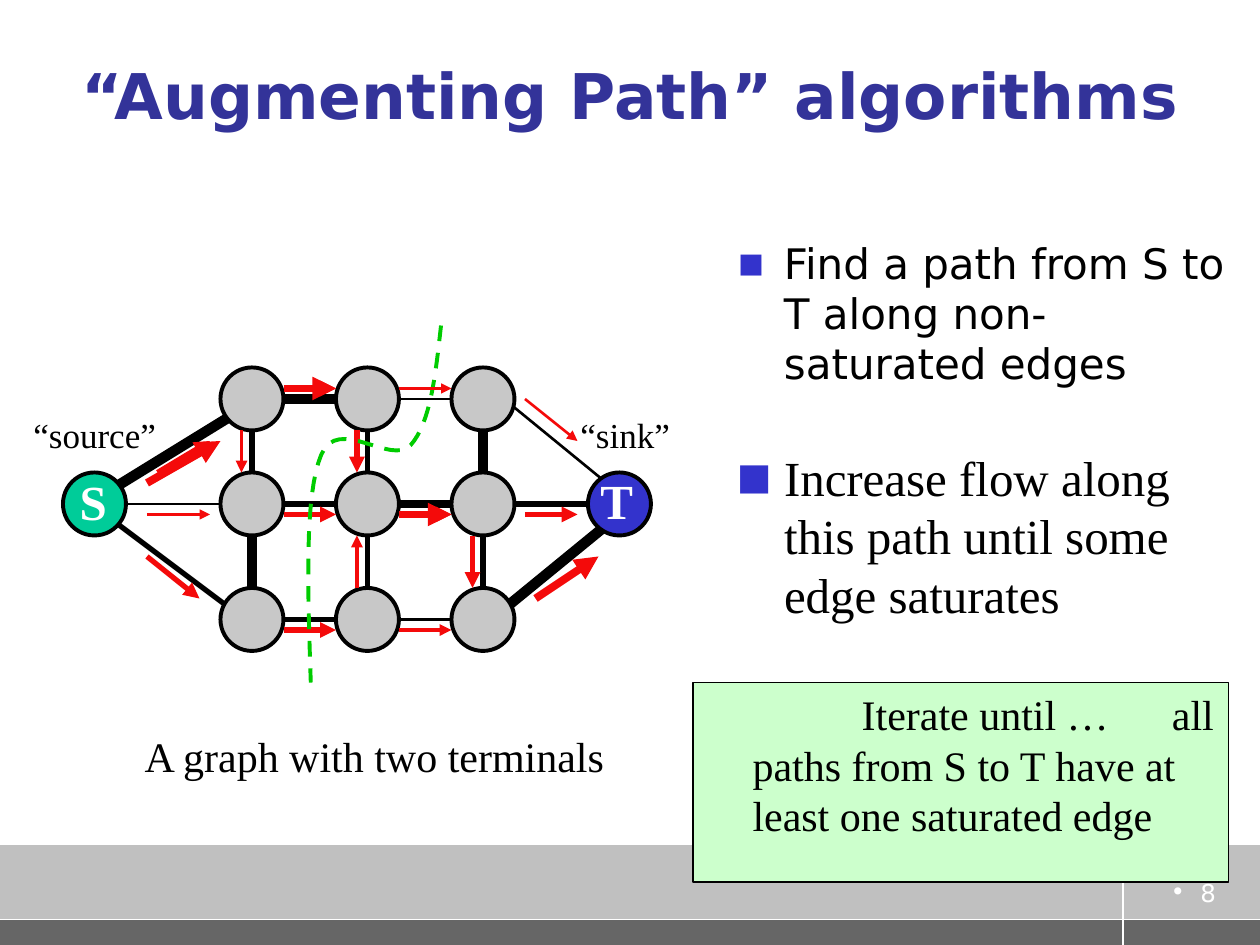
from dataclasses import dataclass

from lxml import etree
from pptx import Presentation
from pptx.dml.color import RGBColor
from pptx.enum.dml import MSO_LINE
from pptx.enum.shapes import MSO_CONNECTOR, MSO_SHAPE
from pptx.enum.text import MSO_ANCHOR, MSO_AUTO_SIZE, PP_ALIGN
from pptx.oxml.ns import qn
from pptx.util import Cm, Pt

STRAIGHT = MSO_CONNECTOR.STRAIGHT
OVAL, RECT = MSO_SHAPE.OVAL, MSO_SHAPE.RECTANGLE
LEFT, CENTER, RIGHT = PP_ALIGN.LEFT, PP_ALIGN.CENTER, PP_ALIGN.RIGHT
TOP, MIDDLE = MSO_ANCHOR.TOP, MSO_ANCHOR.MIDDLE
DASH, NO_FIT = MSO_LINE.DASH, MSO_AUTO_SIZE.NONE


@dataclass(frozen=True)
class Theme:
    sans: str = "DejaVu Sans"
    serif: str = "Times New Roman"
    black: str = "000000"
    white: str = "FFFFFF"
    title: str = "333399"
    blue: str = "3333CC"
    green: str = "00CC99"
    node: str = "C8C8C8"
    flow: str = "F40A0A"
    cut: str = "00CC00"
    note: str = "CCFFCC"
    band: str = "C0C0C0"
    footer: str = "666666"
    title_size: int = 36
    large: int = 28
    body: int = 24
    label: int = 20
    small: int = 14


T = Theme()

COLUMNS, ROWS = (24, 35, 46), (38, 48, 59)

EDGES = [
    (10, 47, 23, 39, 6), (11, 48, 23, 48, 1.5), (10, 49, 22, 58, 3),
    (48, 38, 59, 47, 1.5), (47, 48, 58, 48, 3), (48, 58, 59, 49, 6),
    (24, 38, 34, 38, 6), (35, 38, 45, 38, 1.5),
    (24, 47, 24, 39, 3), (35, 47, 35, 39, 3), (46, 47, 46, 39, 6),
    (24, 58, 24, 50, 6), (35, 58, 35, 50, 3), (46, 58, 46, 50, 3),
    (24, 48, 34, 48, 3), (35, 48, 45, 48, 4.5),
    (24, 59, 34, 59, 3), (35, 59, 45, 59, 2.25),
]
FLOWS = [
    (14, 49, 20, 49, 1.5), (14, 53, 19, 57, 3), (51, 57, 57, 53, 4.5),
    (23, 41, 23, 45, 2.25), (34, 56, 34, 51, 2.25), (45, 51, 45, 56, 3),
    (27, 49, 32, 49, 3), (38, 49, 43, 49, 4.5),
    (27, 60, 32, 60, 3), (38, 60, 43, 60, 2.25),
]
PATH_FLOWS = [
    (50, 49, 55, 49, 3), (38, 49, 43, 49, 3), (27, 37, 32, 37, 3),
    (15, 45, 20, 42, 3), (34, 41, 34, 45, 3),
]
FINAL_FLOWS = [
    (14, 46, 21, 42, 4.5), (50, 38, 55, 42, 1.5),
    (27, 37, 32, 37, 4.5), (38, 37, 43, 37, 1.5),
]
CUT_CURVE = [
    (42, 31), (41.5, 35.6), (41, 40.3), (39.1, 42.4), (37.2, 44.4),
    (32.2, 39.5), (30.6, 43.3), (29, 47), (29.3, 56), (29.6, 65),
]


def grid(n):
    return Cm(n * 2.54 / 12)


def rgb(color):
    return RGBColor.from_string(color)


def apply(target, values):
    for name, value in values.items():
        setattr(target, name, value)


def add_run(p, text, size, font, color=T.black, bold=False):
    r = p.add_run()
    r.text = text
    apply(r.font, {"size": Pt(size), "name": font, "bold": bold})
    r.font.color.rgb = rgb(color)
    return r


def format_paragraph(p, margin, indent, before=0):
    p.space_before = Pt(before)
    pPr = p._p.get_or_add_pPr()
    pPr.set("marL", str(Cm(margin)))
    pPr.set("indent", str(Cm(indent)))
    return pPr


def add_bullet(pPr, char, color, percent=100):
    clr = etree.SubElement(pPr, qn("a:buClr"))
    etree.SubElement(clr, qn("a:srgbClr"), val=color)
    etree.SubElement(pPr, qn("a:buSzPct"), val=str(percent * 1000))
    etree.SubElement(pPr, qn("a:buFont"), typeface=T.sans)
    etree.SubElement(pPr, qn("a:buChar"), char=char)


def add_text(s, box, text, size, font, color=T.black, bold=False, wrap=False, align=LEFT):
    sp = s.shapes.add_textbox(*map(grid, box))
    tf = sp.text_frame
    apply(tf, {"word_wrap": wrap, "auto_size": NO_FIT, "vertical_anchor": TOP})
    p = tf.paragraphs[0]
    p.alignment = align
    add_run(p, text, size, font, color, bold)
    return p


def add_bullet_text(s, box, text, size, font, char, percent):
    p = add_text(s, box, text, size, font, wrap=True)
    add_bullet(format_paragraph(p, 0.95, -0.95, size / 5), char, T.blue, percent)


def add_box(s, kind, box, fill, width=0):
    sp = s.shapes.add_shape(kind, *map(grid, box))
    sp.shadow.inherit = False
    sp.fill.solid()
    sp.fill.fore_color.rgb = rgb(fill)
    if width:
        sp.line.color.rgb = rgb(T.black)
        sp.line.width = Pt(width)
    else:
        sp.line.fill.background()
    return sp


def add_line(s, x1, y1, x2, y2, width, color=T.black, arrow=False):
    c = s.shapes.add_connector(STRAIGHT, *map(grid, (x1, y1, x2, y2)))
    c.line.color.rgb = rgb(color)
    c.line.width = Pt(width)
    if arrow:
        etree.SubElement(c.line._get_or_add_ln(), qn("a:tailEnd"), type="triangle")
    etree.SubElement(c._element.spPr, qn("a:effectLst"))


def add_node(s, x, y, fill=T.node):
    add_box(s, OVAL, (x - 3, y - 3, 6, 6), fill, 2.25)


def bezier(points, t):
    weights = ((1 - t) ** 3, 3 * t * (1 - t) ** 2, 3 * t * t * (1 - t), t ** 3)
    return tuple(grid(sum(w * pt[axis] for w, pt in zip(weights, points))) for axis in (0, 1))


def add_cut(s, steps=16):
    points = [bezier(CUT_CURVE[i:i + 4], k / steps)
              for i in range(0, len(CUT_CURVE) - 1, 3) for k in range(1, steps + 1)]
    fb = s.shapes.build_freeform(*map(grid, CUT_CURVE[0]))
    fb.add_line_segments(points, close=False)
    sp = fb.convert_to_shape()
    sp.shadow.inherit = False
    sp.fill.background()
    sp.line.color.rgb = rgb(T.cut)
    apply(sp.line, {"width": Pt(2.25), "dash_style": DASH})


def add_footer(s):
    add_box(s, RECT, (0, 80.5, 120, 9.5), T.band)
    add_box(s, RECT, (0, 87.6, 120, 2.4), T.footer)
    add_line(s, 107, 80, 107, 90, 1.13, T.white)
    add_line(s, 0, 87.6, 120, 87.6, 0.75, T.white)
    p = add_text(s, (108, 83, 9, 4), "8", T.small, T.sans, T.white, wrap=True, align=RIGHT)
    add_bullet(format_paragraph(p, 0.6, -0.6), "•", T.white)


def add_title(s):
    sp = s.shapes.title
    apply(sp, dict(zip(("left", "top", "width", "height"), map(grid, (6, 3, 108, 12)))))
    tf = sp.text_frame
    apply(tf, {"word_wrap": True, "auto_size": NO_FIT, "vertical_anchor": MIDDLE})
    p = tf.paragraphs[0]
    p.alignment = CENTER
    add_run(p, "“Augmenting Path” algorithms", T.title_size, T.sans, T.title, True)


def add_graph(s):
    for edge in EDGES:
        add_line(s, *edge)
    for y in ROWS:
        for x in COLUMNS:
            add_node(s, x, y)
    add_node(s, 9, 48, T.green)
    add_node(s, 59, 48, T.blue)
    add_text(s, (6.4, 44.3, 5, 6.8), "S", T.large, T.serif, T.white, True)
    add_text(s, (56, 44.2, 5.5, 6.8), "T", T.large, T.serif, T.white, True)
    add_text(s, (2, 38.8, 14, 5.2), "“source”", T.label, T.serif)
    add_text(s, (54.1, 38.8, 10.9, 5.2), "“sink”", T.label, T.serif)
    add_text(s, (12.6, 69, 46.3, 6), "A graph with two terminals", T.body, T.serif)


def add_flows(s, flows):
    for flow in flows:
        add_line(s, *flow, T.flow, True)


def add_note(s):
    tf = add_box(s, RECT, (66, 65, 51, 19), T.note, 0.75).text_frame
    apply(tf, {"word_wrap": True, "vertical_anchor": TOP})
    p = tf.paragraphs[0]
    p.alignment = LEFT
    format_paragraph(p, 0.95, 2.2, T.body / 5)
    add_run(p, "Iterate until …", T.body, T.serif)
    gap = add_run(p, " ", T.body, T.serif)
    gap.font._element.set("spc", "3000")
    add_run(p, "all paths from S to T have at least one saturated edge", T.body, T.serif)


def main():
    prs = Presentation()
    prs.slide_width, prs.slide_height = Cm(25.4), Cm(19.05)
    s = prs.slides.add_slide(prs.slide_layouts[5])
    add_footer(s)
    add_title(s)
    add_bullet_text(s, (69, 22, 49, 19), "Find a path from S to T along non-saturated edges",
                    T.body, T.sans, "▪", 100)
    add_graph(s)
    add_flows(s, FLOWS)
    add_bullet_text(s, (69, 42, 51, 19), "Increase flow along this path until some edge saturates",
                    T.large, T.serif, "■", 75)
    add_note(s)
    add_flows(s, PATH_FLOWS)
    add_cut(s)
    add_flows(s, FINAL_FLOWS)
    prs.save("out.pptx")


if __name__ == "__main__":
    main()
